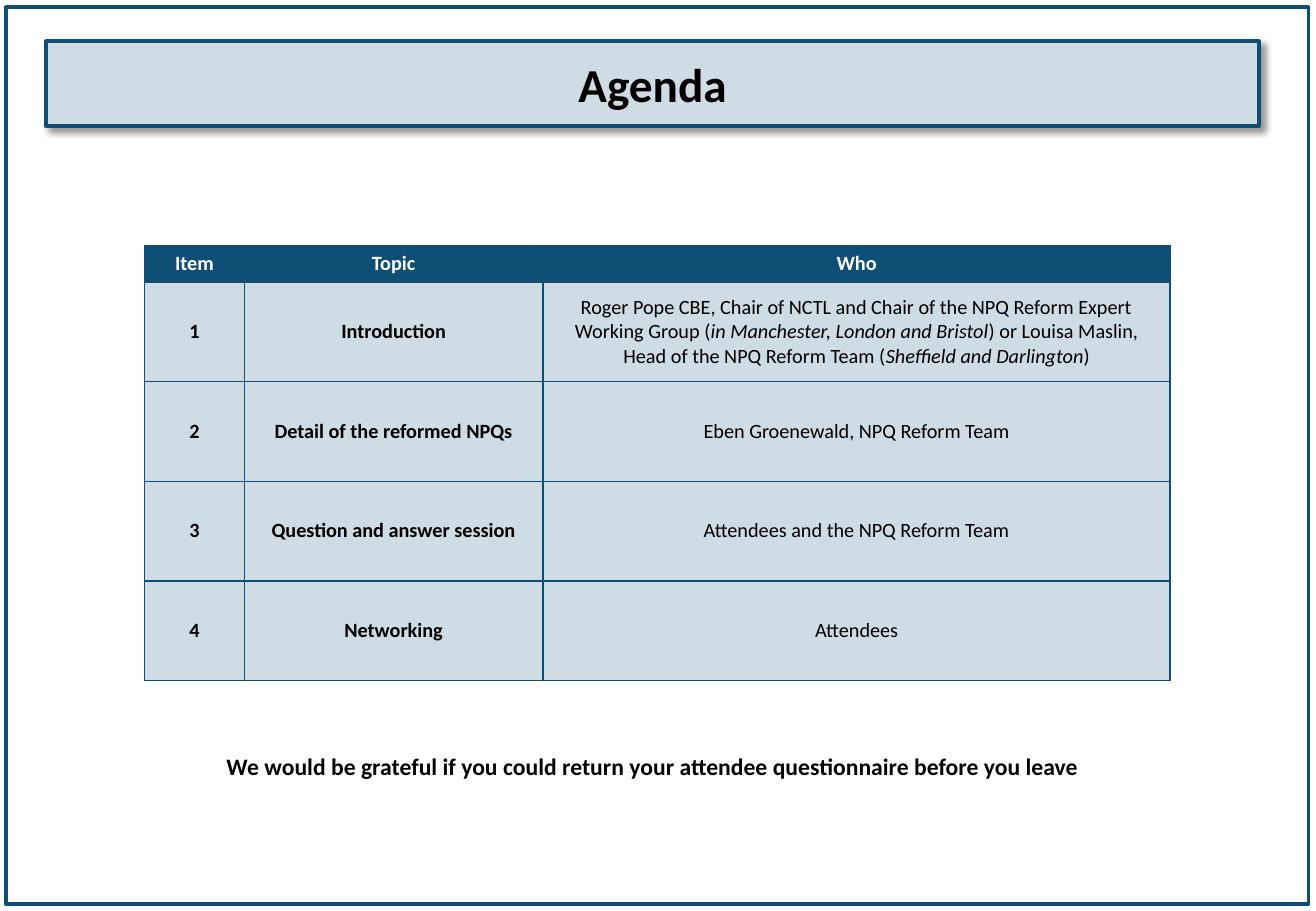
from dataclasses import dataclass

import pptx
import pptx.dml.color
import pptx.enum.shapes
import pptx.enum.text
import pptx.oxml
import pptx.oxml.ns
import pptx.util

COLOURS = {"navy": "104F75", "mist": "CFDCE3", "black": "000000", "white": "FFFFFF"}
FONT = "Calibri"
SLIDE_WIDTH, SLIDE_HEIGHT = 10.83, 7.5
CENTRE = pptx.enum.text.PP_ALIGN.CENTER
MIDDLE = pptx.enum.text.MSO_ANCHOR.MIDDLE


def columns(count: float) -> int:
    """Width of a number of columns, 100 to the slide."""
    return pptx.util.Inches(SLIDE_WIDTH * count / 100)


def rows(count: float) -> int:
    """Height of a number of rows, 100 to the slide."""
    return pptx.util.Inches(SLIDE_HEIGHT * count / 100)


def rgb(name: str) -> pptx.dml.color.RGBColor:
    return pptx.dml.color.RGBColor.from_string(COLOURS[name])


@dataclass(frozen=True)
class Area:
    left: float
    top: float
    width: float
    height: float

    def box(self) -> tuple[int, int, int, int]:
        return columns(self.left), rows(self.top), columns(self.width), rows(self.height)


@dataclass(frozen=True)
class Run:
    text: str
    italic: bool = False


@dataclass(frozen=True)
class AgendaItem:
    topic: str
    who: tuple[Run, ...]


TITLE = Area(3.51, 4.53, 92.15, 9.33)
AGENDA = Area(10.99, 26.93, 77.93, 47.72)
REQUEST = Area(10.71, 81.87, 77.75, 4.53)
FRAME = Area(0.46, 0.8, 98.98, 98.4)
COLUMN_WIDTHS = (7.57, 22.71, 47.65)
HEADER_HEIGHT, ITEM_HEIGHT = 4, 10.93
HEADINGS = ("Item", "Topic", "Who")
ITEMS = (
    AgendaItem("Introduction", (
        Run("Roger Pope CBE, Chair of NCTL and Chair of the NPQ Reform Expert Working Group ("),
        Run("in Manchester, London and Bristol", italic=True),
        Run(") or Louisa Maslin, Head of the NPQ Reform Team ("),
        Run("Sheffield and Darlington", italic=True),
        Run(")"),
    )),
    AgendaItem("Detail of the reformed NPQs", (Run("Eben Groenewald, NPQ Reform Team"),)),
    AgendaItem("Question and answer session", (Run("Attendees and the NPQ Reform Team"),)),
    AgendaItem("Networking", (Run("Attendees"),)),
)


def write(frame, runs: tuple[Run, ...], size: float, colour: str = "black",
          bold: bool = True) -> None:
    paragraph = frame.paragraphs[0]
    paragraph.alignment = CENTRE
    paragraph.font.name = FONT
    paragraph.font.size = pptx.util.Pt(size)
    paragraph.font.bold = bold
    paragraph.font.color.rgb = rgb(colour)
    for part in runs:
        run = paragraph.add_run()
        run.text = part.text
        if part.italic:
            run.font.italic = True


def add_panel(slide, area: Area, fill: str | None = None):
    panel = slide.shapes.add_shape(pptx.enum.shapes.MSO_SHAPE.RECTANGLE, *area.box())
    panel.shadow.inherit = False
    if fill:
        panel.fill.solid()
        panel.fill.fore_color.rgb = rgb(fill)
    else:
        panel.fill.background()
    panel.line.color.rgb = rgb("navy")
    panel.line.width = pptx.util.Pt(2.25)
    return panel


def cast_shadow(panel) -> None:
    effects = panel.fill._xPr.find(pptx.oxml.ns.qn("a:effectLst"))
    effects.append(pptx.oxml.parse_xml(
        f'<a:outerShdw {pptx.oxml.ns.nsdecls("a")} blurRad="{pptx.util.Pt(4)}" '
        f'dist="{pptx.util.Pt(3)}" dir="2700000" algn="tl" rotWithShape="0">'
        f'<a:srgbClr val="{COLOURS["black"]}"><a:alpha val="40000"/></a:srgbClr>'
        '</a:outerShdw>'))


def fill_cell(cell, runs: tuple[Run, ...], fill: str, colour: str, bold: bool) -> None:
    properties = cell._tc.get_or_add_tcPr()
    for side in ("lnL", "lnR", "lnT", "lnB"):
        properties.append(pptx.oxml.parse_xml(
            f'<a:{side} {pptx.oxml.ns.nsdecls("a")} w="{pptx.util.Pt(1)}"><a:solidFill>'
            f'<a:srgbClr val="{COLOURS["navy"]}"/></a:solidFill></a:{side}>'))
    cell.fill.solid()
    cell.fill.fore_color.rgb = rgb(fill)
    cell.vertical_anchor = MIDDLE
    write(cell.text_frame, runs, 12, colour, bold)


def add_agenda(slide) -> None:
    agenda = slide.shapes.add_table(len(ITEMS) + 1, len(HEADINGS), *AGENDA.box()).table
    agenda.horz_banding = False
    for column, width in zip(agenda.columns, COLUMN_WIDTHS):
        column.width = columns(width)
    for number, row in enumerate(agenda.rows):
        row.height = rows(ITEM_HEIGHT if number else HEADER_HEIGHT)
    for position, heading in enumerate(HEADINGS):
        fill_cell(agenda.cell(0, position), (Run(heading),), "navy", "white", True)
    for number, item in enumerate(ITEMS, start=1):
        entries = ((Run(str(number)),), (Run(item.topic),), item.who)
        for position, entry in enumerate(entries):
            fill_cell(agenda.cell(number, position), entry, "mist", "black",
                      bold=HEADINGS[position] != "Who")


def main() -> None:
    deck = pptx.Presentation()
    deck.slide_width, deck.slide_height = columns(100), rows(100)
    slide = deck.slides.add_slide(deck.slide_layouts[6])

    # Title banner
    title = add_panel(slide, TITLE, "mist")
    cast_shadow(title)
    title.text_frame.vertical_anchor = MIDDLE
    write(title.text_frame, (Run("Agenda"),), 28)

    # Agenda table
    add_agenda(slide)

    # Closing request
    request = slide.shapes.add_textbox(*REQUEST.box()).text_frame
    request.word_wrap = True
    request.auto_size = pptx.enum.text.MSO_AUTO_SIZE.SHAPE_TO_FIT_TEXT
    write(request, (Run("We would be grateful if you could return your attendee "
                        "questionnaire before you leave"),), 14)

    # Slide frame
    add_panel(slide, FRAME)

    deck.save("out.pptx")


if __name__ == "__main__":
    main()
